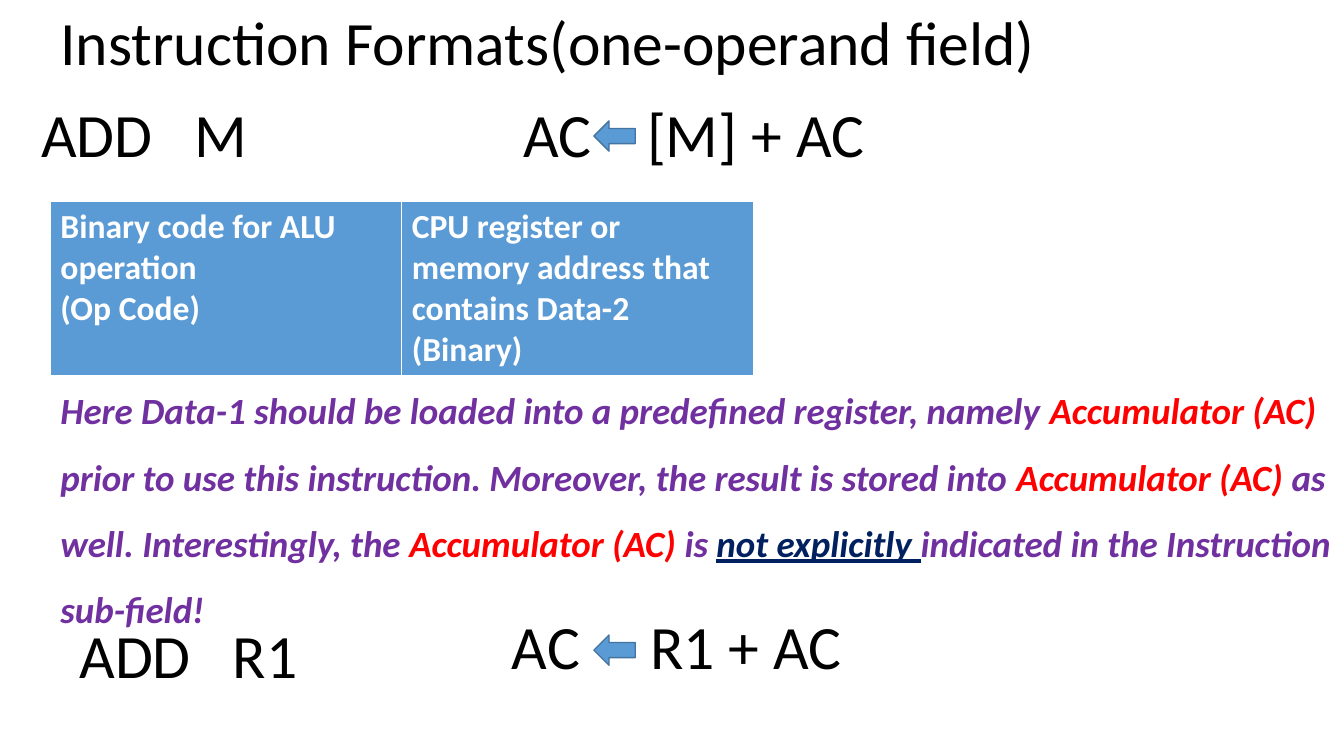
from dataclasses import dataclass

from lxml import etree
from pptx import Presentation
from pptx.dml.color import RGBColor
from pptx.enum.shapes import MSO_SHAPE
from pptx.enum.text import MSO_ANCHOR, MSO_AUTO_SIZE, PP_ALIGN
from pptx.oxml.ns import qn
from pptx.util import Inches, Pt

LEFT_ARROW = MSO_SHAPE.LEFT_ARROW
MIDDLE = MSO_ANCHOR.MIDDLE
NO_AUTOFIT = MSO_AUTO_SIZE.NONE
LEFT = PP_ALIGN.LEFT
TITLE_ONLY_LAYOUT = 5


@dataclass(frozen=True)
class Theme:
    font: str = "Calibri"
    black: str = "000000"
    white: str = "FFFFFF"
    blue: str = "5B9BD5"
    outline: str = "43739E"
    purple: str = "7030A0"
    red: str = "FF0000"
    navy: str = "002060"
    heading_size: float = 44
    table_size: float = 24
    note_size: float = 26.4


THEME = Theme()

TABLE_CELLS = (
    ("Binary code for ALU operation", "(Op Code)"),
    ("CPU register or memory address that contains Data-2", "(Binary)"),
)

NOTE_RUNS = (
    ("Here Data-1 should be loaded into a predefined register, namely ", THEME.purple),
    ("Accumulator (AC)", THEME.red),
    (" prior to use this instruction. Moreover, the result is stored into ", THEME.purple),
    ("Accumulator (AC) ", THEME.red),
    ("as well. Interestingly, the ", THEME.purple),
    ("Accumulator (AC) ", THEME.red),
    ("is ", THEME.purple),
    ("not explicitly ", THEME.navy),
    ("indicated in the Instruction sub-field!", THEME.purple),
)


def add_text(paragraph, text, size=THEME.heading_size, color=THEME.black,
             bold=False, italic=False, underline=False):
    run = paragraph.add_run()
    run.text = text
    font = run.font
    font.name = THEME.font
    font.size = Pt(size)
    font.color.rgb = RGBColor.from_string(color)
    font.bold, font.italic, font.underline = bold, italic, underline


def prepare_paragraph(shape, line_spacing):
    """Set up the shape's text frame and return its first paragraph."""
    frame = shape.text_frame
    frame.word_wrap = True
    frame.auto_size = NO_AUTOFIT
    frame.vertical_anchor = MIDDLE
    paragraph = frame.paragraphs[0]
    paragraph.alignment = LEFT
    paragraph.line_spacing = line_spacing
    return paragraph


def add_title(slide, text):
    title = slide.shapes.title
    title.left, title.top = Inches(0.5), Inches(0)
    title.width, title.height = Inches(11.96), Inches(0.91)
    add_text(prepare_paragraph(title, 0.9), text)


def add_text_box(slide, left, top, width, height, line_spacing):
    box = slide.shapes.add_textbox(
        Inches(left), Inches(top), Inches(width), Inches(height))
    return prepare_paragraph(box, line_spacing)


def add_tab_stop(paragraph, position):
    properties = paragraph._p.get_or_add_pPr()
    tab_list = etree.SubElement(properties, qn("a:tabLst"))
    etree.SubElement(tab_list, qn("a:tab"), pos=str(Inches(position)), algn="l")


def add_statement(slide, first, second, left, top, width, tab):
    """Add two parts of an instruction, the second starting at a tab stop."""
    paragraph = add_text_box(slide, left, top, width, 0.91, 0.9)
    add_tab_stop(paragraph, tab)
    add_text(paragraph, f"{first}\t{second}")


def add_assignment_arrow(slide, top):
    arrow = slide.shapes.add_shape(
        LEFT_ARROW, Inches(5.89), Inches(top), Inches(0.41), Inches(0.3))
    arrow.shadow.inherit = False
    arrow.fill.solid()
    arrow.fill.fore_color.rgb = RGBColor.from_string(THEME.blue)
    arrow.line.color.rgb = RGBColor.from_string(THEME.outline)
    arrow.line.width = Pt(1)


def add_format_table(slide):
    frame = slide.shapes.add_table(
        1, len(TABLE_CELLS), Inches(0.5), Inches(2), Inches(6.97), Inches(1.7))
    for cell, lines in zip(frame.table.rows[0].cells, TABLE_CELLS):
        cell.fill.solid()
        cell.fill.fore_color.rgb = RGBColor.from_string(THEME.blue)
        text_frame = cell.text_frame
        for index, line in enumerate(lines):
            paragraph = text_frame.add_paragraph() if index else text_frame.paragraphs[0]
            add_text(paragraph, line, size=THEME.table_size,
                     color=THEME.white, bold=True)


def add_note(slide):
    paragraph = add_text_box(slide, 0.5, 3.81, 12.83, 2.27, 1.5)
    for text, color in NOTE_RUNS:
        add_text(paragraph, text, size=THEME.note_size, color=color,
                 bold=True, italic=True, underline=color == THEME.navy)


def main():
    presentation = Presentation()
    presentation.slide_width = Inches(13.33)
    presentation.slide_height = Inches(7.5)
    slide = presentation.slides.add_slide(
        presentation.slide_layouts[TITLE_ONLY_LAYOUT])

    add_title(slide, "Instruction Formats(one-operand field)")
    add_format_table(slide)
    add_note(slide)
    add_statement(slide, "ADD", "M", 0.31, 0.91, 2.87, tab=1.52)
    add_statement(slide, "AC", "[M] + AC", 5.09, 0.91, 5.66, tab=1.23)
    add_assignment_arrow(slide, 1.2)
    add_statement(slide, "ADD", "R1", 0.69, 6.08, 2.87, tab=1.52)
    add_statement(slide, "AC", "R1 + AC", 4.98, 5.99, 5.66, tab=1.37)
    add_assignment_arrow(slide, 6.3)

    presentation.save("out.pptx")


if __name__ == "__main__":
    main()
